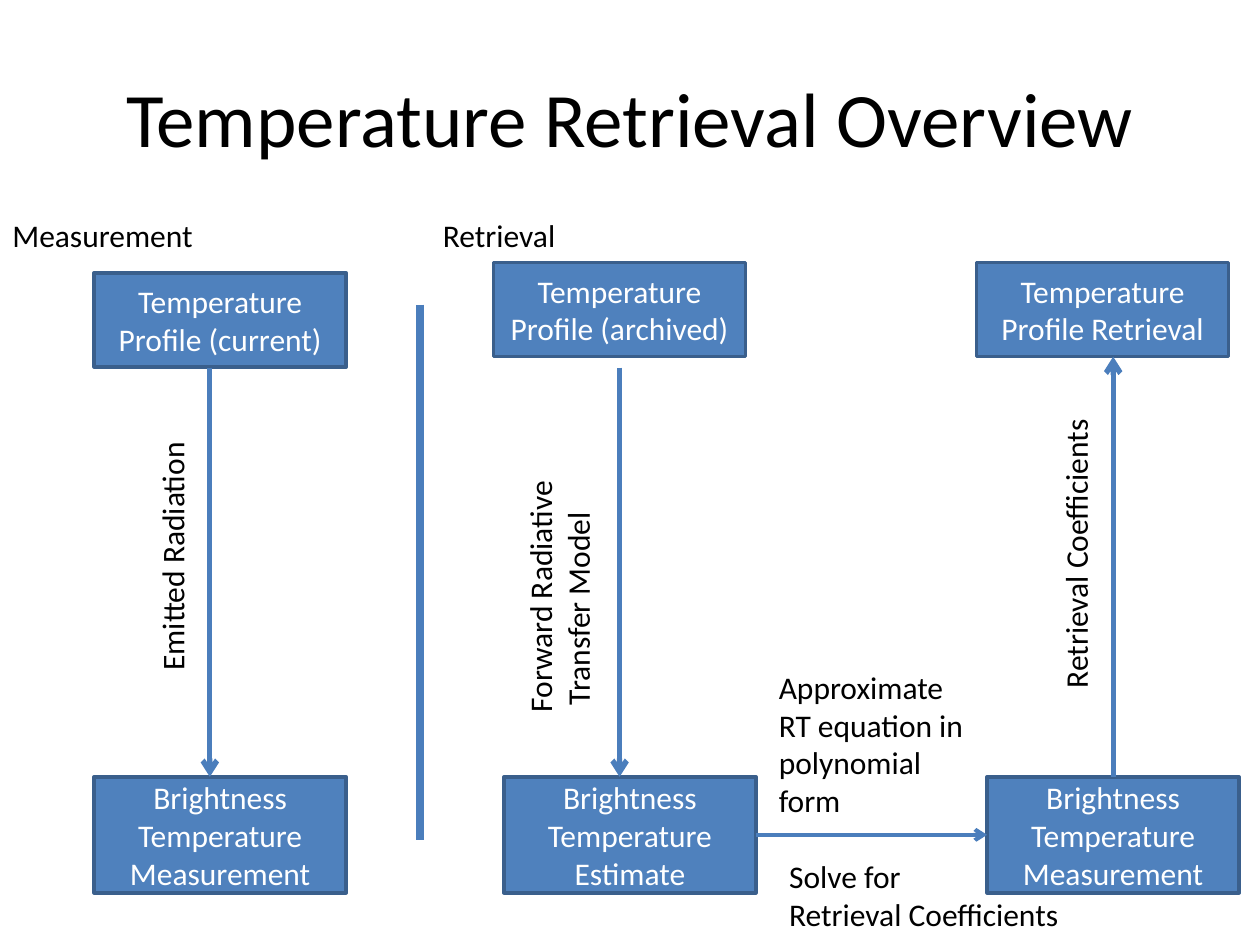
import pptx
import pptx.dml.color
import pptx.enum.shapes
import pptx.enum.text
import pptx.util
from pptx.util import Cm

FONT = "Calibri"
BLACK, WHITE = "000000", "FFFFFF"
FILL, EDGE, ARROW = "4F81BD", "3A5F8C", "4B7EBC"

# Lengths in centimetres
BOX_WIDTH = 5.08
UPPER_HEIGHT, LOWER_HEIGHT, LOWER_TOP = 1.9, 2.34, 15.66
TITLE = ("Temperature Retrieval Overview", 1.27, 0.76, 22.86, 3.18)

# text, left, top
UPPER_BOXES = [
    ("Temperature Profile (current)", 1.9, 5.5),
    ("Temperature Profile (archived)", 9.95, 5.29),
    ("Temperature Profile Retrieval", 19.69, 5.29),
]
# text, left
LOWER_BOXES = [
    ("Brightness Temperature Measurement", 1.9),
    ("Brightness Temperature Estimate", 10.16),
    ("Brightness Temperature Measurement", 19.9),
]
# start x, start y, end x, end y, width in points, arrowhead
LINES = [
    (4.23, 7.41, 4.23, LOWER_TOP, 3, True),
    (12.49, 7.41, 12.49, LOWER_TOP, 3, True),
    (22.44, LOWER_TOP, 22.44, 7.19, 3, True),
    (15.24, 16.83, 19.9, 16.83, 2.25, True),
    (8.47, 6.14, 8.47, 16.93, 4.5, False),
]
# paragraphs, left, top, width, height
UPRIGHT_LABELS = [
    (["Emitted Radiation"], 2.96, 8.69, 1.27, 5.08),
    (["Forward Radiative", " Transfer Model"], 10.37, 9.53, 2.06, 5.08),
    (["Retrieval Coefficients"], 21.17, 8.26, 1.27, 5.87),
]
FLAT_LABELS = [
    (["Measurement"], 0, 4.23, 4.22, 1.02),
    (["Retrieval"], 8.68, 4.23, 2.87, 1.02),
    (["Solve for ", "Retrieval Coefficients"], 15.66, 17.15, 6.13, 1.79),
]
WRAPPED_LABEL = (["Approximate RT equation in polynomial form"],
                 15.45, 13.34, 4.44, 3.33)


def color(value):
    """Turn a hex string into a colour."""
    return pptx.dml.color.RGBColor.from_string(value)


def write(frame, lines, size, ink, centred=False):
    """Fill a text frame with one paragraph per line."""
    for number, line in enumerate(lines):
        para = frame.add_paragraph() if number else frame.paragraphs[0]
        para.text = line
        para.font.name = FONT
        para.font.size = pptx.util.Pt(size)
        para.font.color.rgb = color(ink)
        if centred:
            para.alignment = pptx.enum.text.PP_ALIGN.CENTER
    if centred:
        frame.vertical_anchor = pptx.enum.text.MSO_ANCHOR.MIDDLE


def add_box(page, text, left, top, height):
    """Add a blue box with centred white text."""
    box = page.shapes.add_shape(
        pptx.enum.shapes.MSO_SHAPE.RECTANGLE,
        Cm(left), Cm(top), Cm(BOX_WIDTH), Cm(height))
    box.shadow.inherit = False
    box.fill.solid()
    box.fill.fore_color.rgb = color(FILL)
    box.line.color.rgb = color(EDGE)
    box.line.width = pptx.util.Pt(2)
    write(box.text_frame, [text], 18, WHITE, centred=True)


def add_line(page, x1, y1, x2, y2, width, arrow):
    """Add a straight line, with an arrowhead at its end if wanted."""
    line = page.shapes.add_connector(
        pptx.enum.shapes.MSO_CONNECTOR.STRAIGHT,
        Cm(x1), Cm(y1), Cm(x2), Cm(y2))
    line.line.color.rgb = color(ARROW)
    line.line.width = pptx.util.Pt(width)
    if arrow:
        head = pptx.oxml.xmlchemy.OxmlElement("a:tailEnd")
        head.set("type", "arrow")
        line.line._get_or_add_ln().append(head)
    line._element.spPr.append(pptx.oxml.xmlchemy.OxmlElement("a:effectLst"))


def add_label(page, lines, left, top, width, height, upright=False, wrap=False):
    """Add a black label, reading upwards if upright."""
    label = page.shapes.add_textbox(Cm(left), Cm(top), Cm(width), Cm(height))
    frame = label.text_frame
    frame.word_wrap = wrap
    frame.auto_size = pptx.enum.text.MSO_AUTO_SIZE.SHAPE_TO_FIT_TEXT
    if upright:
        frame._txBody.bodyPr.set("vert", "vert270")
    write(frame, lines, 18, BLACK)


def main():
    """Build the slide and save it."""
    deck = pptx.Presentation()
    deck.slide_width, deck.slide_height = Cm(25.4), Cm(19.05)
    page = deck.slides.add_slide(deck.slide_layouts[6])

    text, *place = TITLE
    title = page.shapes.add_textbox(*map(Cm, place))
    title.text_frame.word_wrap = True
    write(title.text_frame, [text], 44, BLACK, centred=True)

    for text, left, top in UPPER_BOXES:
        add_box(page, text, left, top, UPPER_HEIGHT)
    for text, left in LOWER_BOXES:
        add_box(page, text, left, LOWER_TOP, LOWER_HEIGHT)
    for line in LINES:
        add_line(page, *line)
    for label in UPRIGHT_LABELS:
        add_label(page, *label, upright=True)
    for label in FLAT_LABELS:
        add_label(page, *label)
    add_label(page, *WRAPPED_LABEL, wrap=True)

    deck.save("out.pptx")


main()
